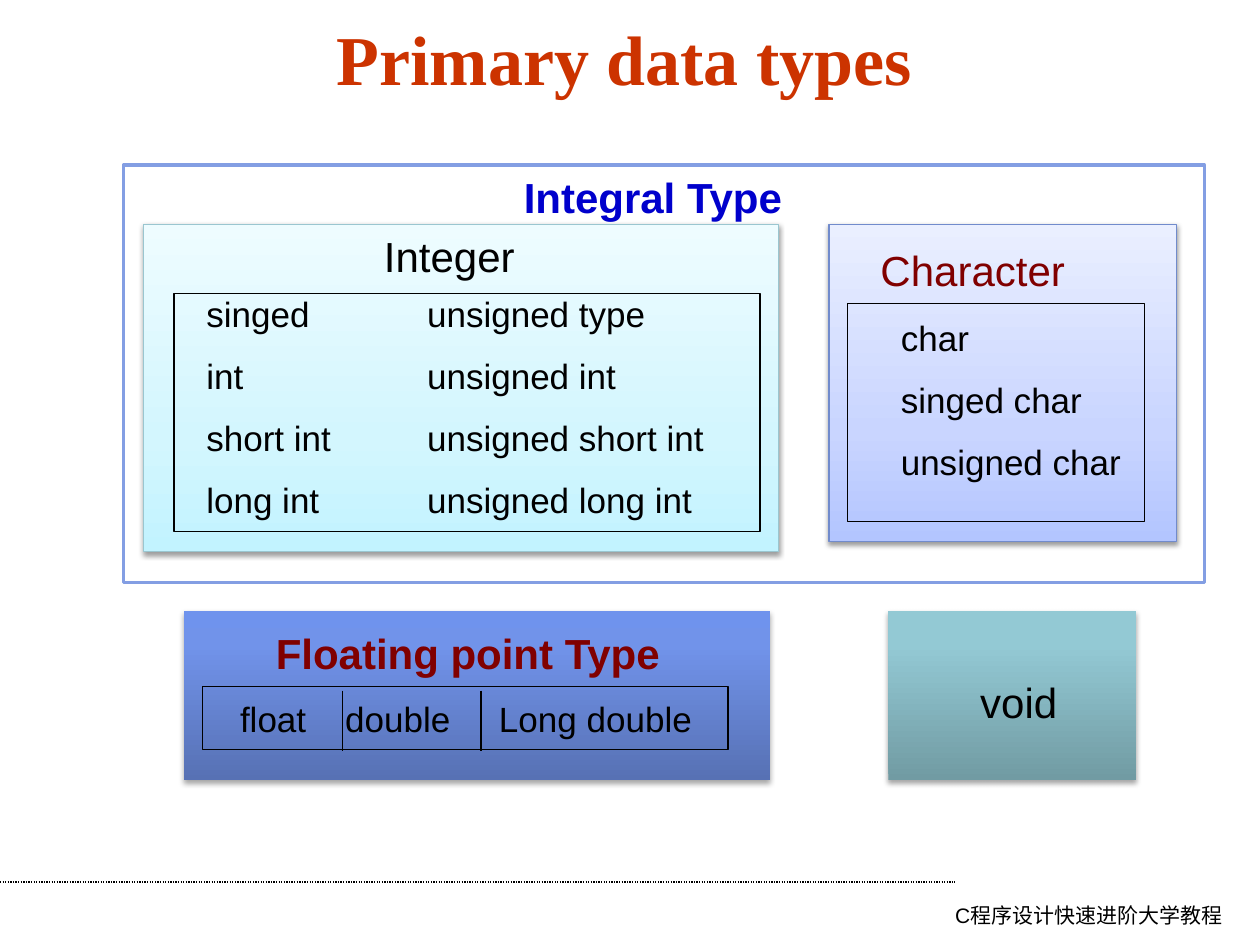
from lxml import etree
from pptx import Presentation
from pptx import util as u
from pptx.dml.color import RGBColor
from pptx.enum import dml, shapes, text
from pptx.oxml import parse_xml
from pptx.oxml.ns import nsdecls, qn

BLACK = "000000"
MAROON = "800000"


def color(value):
    return RGBColor.from_string(value)


def lengths(*values):
    return [u.Cm(value) for value in values]


def style_paragraph(para, size, fill, bold=False, font="Arial", align=text.PP_ALIGN.LEFT):
    para.alignment = align
    para.font.name = font
    para.font.size = u.Pt(size)
    para.font.bold = bold
    para.font.color.rgb = color(fill)


def set_tabs(para, stops):
    tabs = parse_xml(f"<a:tabLst {nsdecls('a')}/>")
    for stop in stops:
        etree.SubElement(tabs, qn("a:tab"), pos=str(u.Cm(stop)), algn="l")
    properties = para._p.get_or_add_pPr()
    defaults = properties.find(qn("a:defRPr"))
    if defaults is None:
        properties.append(tabs)
    else:
        defaults.addprevious(tabs)


def write_lines(frame, lines, size, fill=BLACK, tabs=(), **style):
    for index, line in enumerate(lines):
        para = frame.paragraphs[0] if index == 0 else frame.add_paragraph()
        para.text = line
        style_paragraph(para, size, fill, **style)
        if index:
            para.space_before = u.Pt(11.5)
        if tabs:
            set_tabs(para, tabs)


def add_text(page, at, lines, size, fill=BLACK, tabs=(), **style):
    box = page.shapes.add_textbox(*lengths(*at))
    box.text_frame.word_wrap = True
    write_lines(box.text_frame, lines, size, fill, tabs, **style)


def add_label(page, left, top, width, words, fill=BLACK, bold=False):
    add_text(page, (left, top, width, 1.27), [words], 24, fill, bold=bold)


def add_frame(page, at, line=BLACK, weight=0.75, fill=None):
    box = page.shapes.add_shape(shapes.MSO_SHAPE.RECTANGLE, *lengths(*at))
    box.shadow.inherit = False
    if fill:
        box.fill.solid()
        box.fill.fore_color.rgb = color(fill)
    else:
        box.fill.background()
    if line:
        box.line.color.rgb = color(line)
        box.line.width = u.Pt(weight)
    else:
        box.line.fill.background()
    return box


def add_panel(page, at, stops, line=None, shadow=(38, 1.6)):
    box = add_frame(page, at, line)
    properties = box._element.spPr
    marks = "".join(
        f'<a:gs pos="{place * 1000}"><a:srgbClr val="{value}"/></a:gs>' for place, value in stops
    )
    gradient = parse_xml(
        f"<a:gradFill {nsdecls('a')} rotWithShape=\"1\"><a:gsLst>{marks}</a:gsLst>"
        '<a:lin ang="16200000" scaled="0"/></a:gradFill>'
    )
    properties.replace(properties.find(qn("a:noFill")), gradient)
    opacity, distance = shadow
    outer = parse_xml(
        f"<a:outerShdw {nsdecls('a')} blurRad=\"{u.Pt(3.1)}\" dist=\"{u.Pt(distance)}\" "
        f'dir="5400000" rotWithShape="0"><a:srgbClr val="{BLACK}">'
        f'<a:alpha val="{opacity * 1000}"/></a:srgbClr></a:outerShdw>'
    )
    properties.find(qn("a:effectLst")).append(outer)


def add_line(page, start, end, dash=None):
    line = page.shapes.add_connector(shapes.MSO_CONNECTOR.STRAIGHT, *lengths(*start, *end))
    line.line.color.rgb = color(BLACK)
    line.line.width = u.Pt(0.75)
    if dash:
        line.line.dash_style = dash
    etree.SubElement(line._element.spPr, qn("a:effectLst"))


def set_title(page, words):
    title = page.shapes.title
    title.left, title.top, title.width, title.height = lengths(1.09, 0.53, 22.99, 1.27)
    frame = title.text_frame
    frame.auto_size = text.MSO_AUTO_SIZE.NONE
    frame.vertical_anchor = text.MSO_ANCHOR.MIDDLE
    write_lines(frame, [words], 40, "CC3300", bold=True, font="Times New Roman",
                align=text.PP_ALIGN.CENTER)


def add_integral_types(page):
    add_frame(page, (2.49, 3.33, 21.79, 8.41), "839EE3", 2, "FFFFFF")
    add_label(page, 10.31, 3.33, 8.41, "Integral Type", "0000CC", True)

    add_panel(page, (2.9, 4.52, 12.8, 6.6),
              [(0, "C2F3FF"), (35, "D3F6FE"), (100, "EEFCFF")], "9AC6D0")
    add_text(page, (3.91, 5.77, 11, 4.95),
             ["singed\tunsigned type", "int\tunsigned int",
              "short int\tunsigned short int", "long int\tunsigned long int"],
             20, tabs=[4.45])
    add_frame(page, (3.51, 5.92, 11.81, 4.8))
    add_label(page, 7.49, 4.52, 3.4, "Integer")

    add_panel(page, (16.71, 4.52, 7.01, 6.4),
              [(0, "B3C5FF"), (35, "C9D5FF"), (100, "EAEFFF")], "718BCC")
    add_text(page, (17.91, 6.25, 5, 3.68), ["char", "singed char", "unsigned char"], 20)
    add_frame(page, (17.09, 6.12, 5.99, 4.39))
    add_label(page, 17.5, 4.8, 5.79, "Character", MAROON)


def add_other_types(page):
    add_panel(page, (3.71, 12.32, 11.81, 3.4),
              [(0, "5771B4"), (80, "7193EA"), (100, "6F93ED")], shadow=(35, 1.8))
    add_label(page, 5.31, 12.52, 8.79, "Floating point Type", MAROON, True)

    add_panel(page, (17.91, 12.32, 5, 3.4),
              [(0, "719BA3"), (80, "93C9D4"), (100, "92CAD6")], shadow=(35, 1.8))
    add_label(page, 19.51, 13.51, 2.41, "void")

    row = add_frame(page, (4.09, 13.84, 10.59, 1.27))
    frame = row.text_frame
    frame.margin_left = u.Cm(0.75)
    frame.margin_right = 0
    frame.vertical_anchor = text.MSO_ANCHOR.MIDDLE
    write_lines(frame, ["float\tdouble\tLong double"], 20, tabs=[2.12, 5.22])
    for x in (6.91, 9.7):
        add_line(page, (x, 13.92), (x, 15.14))


def main():
    deck = Presentation()
    deck.slide_width, deck.slide_height = lengths(25.4, 19.05)
    page = deck.slides.add_slide(deck.slide_layouts[5])
    add_line(page, (0, 17.78), (19.25, 17.78), dml.MSO_LINE.ROUND_DOT)
    set_title(page, "Primary data types")
    add_integral_types(page)
    add_other_types(page)
    add_text(page, (16.69, 18.06, 8.2, 0.99), ["C程序设计快速进阶大学教程"], 12,
             align=text.PP_ALIGN.RIGHT)
    deck.save("out.pptx")


if __name__ == "__main__":
    main()
